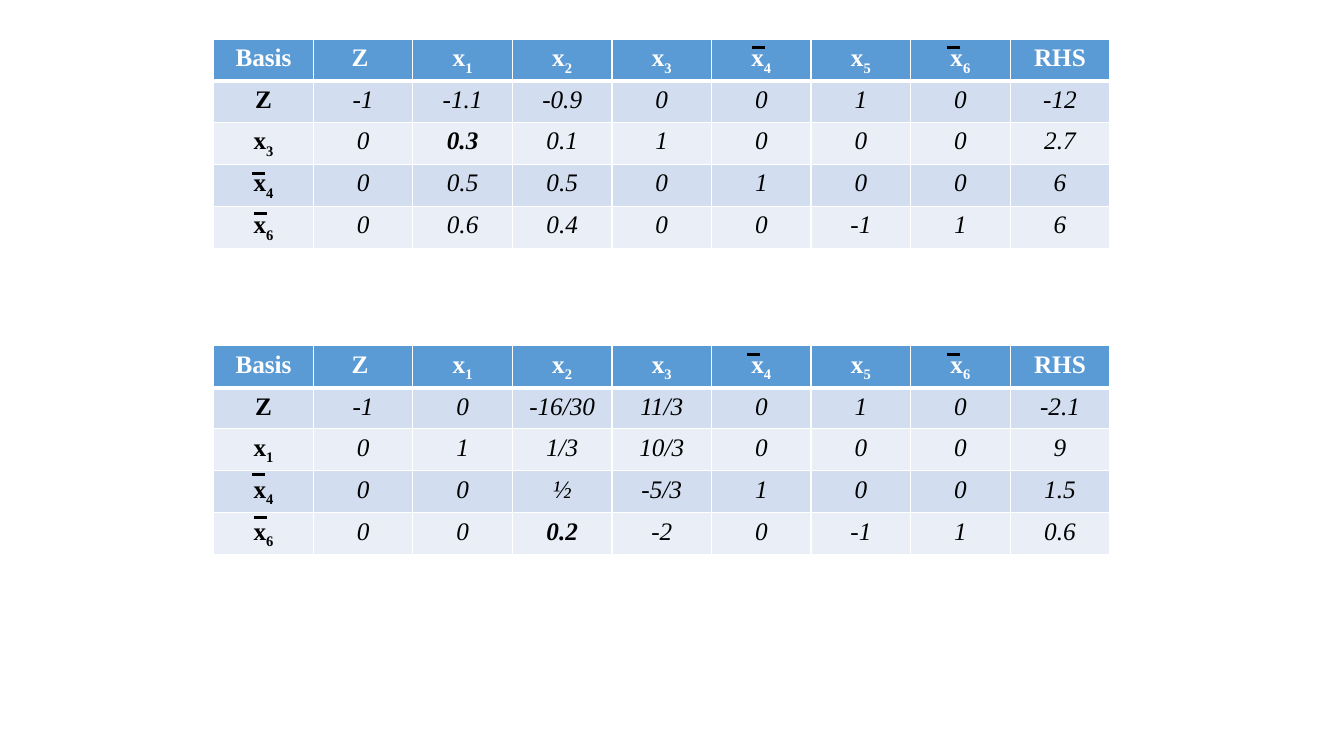
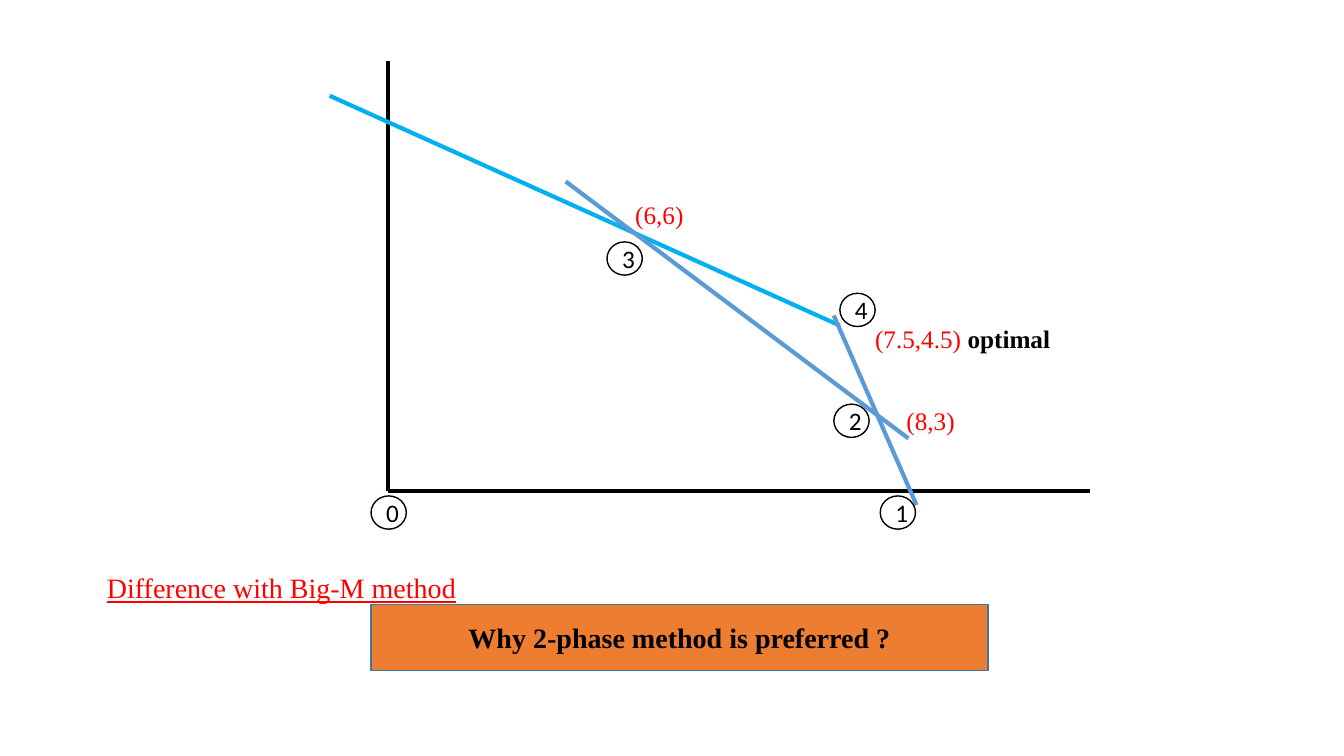
from dataclasses import dataclass
from typing import NamedTuple

from lxml.etree import SubElement
from pptx import Presentation
from pptx.dml.color import RGBColor
from pptx.enum.shapes import MSO_CONNECTOR as Connector, MSO_SHAPE as Preset
from pptx.enum.text import MSO_ANCHOR as Anchor, PP_ALIGN as Align
from pptx.oxml import parse_xml
from pptx.oxml.ns import nsdecls, qn
from pptx.util import Inches, Pt

COLORS = {
    "black": "000000", "white": "FFFFFF", "red": "FF0000",
    "blue": "5B9BD5", "sky": "00B0F0", "band": "D2DEEF", "pale": "EAEFF7",
    "orange": "ED7D31", "edge": "43739E",
}
SERIF, SANS = "Times New Roman", "Calibri"
HEADER = ("Basis", "Z ", "x1", "x2", "x3", "x4", "x5", "x6", "RHS")
BAR_WIDTH = 0.13


@dataclass(frozen=True)
class Tableau:
    top: float
    rows: tuple[str, ...]            # basis name, then the coefficients
    pivot: tuple[int, int]           # row and column of the bold entry
    bars: tuple[tuple[float, float], ...]  # left end of each overbar


class Segment(NamedTuple):
    x1: float
    y1: float
    x2: float
    y2: float
    color: str


class Vertex(NamedTuple):
    number: str
    left: float
    top: float


class Span(NamedTuple):
    text: str
    color: str = "red"
    bold: bool = False
    underline: bool = False


class Label(NamedTuple):
    left: float
    middle: float
    width: float
    spans: tuple[Span, ...]
    size: int = 18


TABLEAUS = (
    Tableau(0.39, ("Z -1 -1.1 -0.9 0 0 1 0 -12",
                   "x3 0 0.3 0.1 1 0 0 0 2.7",
                   "x4 0 0.5 0.5 0 1 0 0 6",
                   "x6 0 0.6 0.4 0 0 -1 1 6"), (2, 2),
            ((7.46, 0.47), (9.39, 0.47), (2.5, 1.72), (2.52, 2.12))),
    Tableau(3.43, ("Z -1 0 -16/30 11/3 0 1 0 -2.1",
                   "x1 0 1 1/3 10/3 0 0 0 9",
                   "x4 0 0 ½ -5/3 1 0 0 1.5",
                   "x6 0 0 0.2 -2 0 -1 1 0.6"), (4, 3),
            ((7.41, 3.52), (9.39, 3.52), (2.5, 4.71), (2.52, 5.13))),
)
SEGMENTS = (
    Segment(3.85, 0.61, 3.85, 4.87, "black"),
    Segment(3.85, 4.87, 10.81, 4.87, "black"),
    Segment(3.27, 0.95, 8.33, 3.23, "sky"),
    Segment(8.27, 3.13, 9.09, 5.01, "blue"),
    Segment(5.61, 1.8, 9.01, 4.35, "blue"),
)
VERTICES = (
    Vertex("0", 3.68, 4.92), Vertex("1", 8.73, 4.92), Vertex("2", 8.27, 4.01),
    Vertex("3", 6.02, 2.4), Vertex("4", 8.33, 2.91),
)
LABELS = (
    Label(6.3, 2.13, 0.8, (Span("(6,6)"),)),
    Label(8.68, 3.36, 2.2, (Span("(7.5,4.5) "), Span("optimal", "black", True))),
    Label(8.99, 4.17, 0.8, (Span("(8,3)"),)),
    Label(1.06, 5.83, 4, (Span("Difference with Big-M method", underline=True),), 20),
)


def rgb(color: str) -> RGBColor:
    return RGBColor.from_string(COLORS[color])


def add_run(paragraph, text: str, size: int, color: str, bold: bool = False,
            italic: bool = False, face: str = SERIF):
    run = paragraph.add_run()
    run.text = text
    font = run.font
    font.name, font.size, font.bold, font.italic = face, Pt(size), bold, italic
    font.color.rgb = rgb(color)
    return run


def add_line(slide, segment: Segment, weight: float) -> None:
    ends = (Inches(v) for v in segment[:4])
    line = slide.shapes.add_connector(Connector.STRAIGHT, *ends)
    line.line.color.rgb = rgb(segment.color)
    line.line.width = Pt(weight)
    SubElement(line._element.spPr, qn("a:effectLst"))


def set_borders(cell, top: int, bottom: int) -> None:
    weights = {"lnL": 1, "lnR": 1, "lnT": top, "lnB": bottom}
    for place, (side, weight) in enumerate(weights.items()):
        border = parse_xml(
            f'<a:{side} {nsdecls("a")} w="{Pt(weight)}"><a:solidFill>'
            f'<a:srgbClr val="{COLORS["white"]}"/></a:solidFill></a:{side}>')
        cell._tc.get_or_add_tcPr().insert(place, border)


def add_tableau(slide, tableau: Tableau) -> None:
    grid = (HEADER, *(row.split() for row in tableau.rows))
    table = slide.shapes.add_table(
        len(grid), len(HEADER), Inches(2.12), Inches(tableau.top),
        Inches(8.89), Inches(2.03)).table
    for r, row in enumerate(grid):
        fill = "blue" if r == 0 else ("pale", "band")[r % 2]
        for c, entry in enumerate(row):
            cell = table.cell(r, c)
            cell.fill.solid()
            cell.fill.fore_color.rgb = rgb(fill)
            set_borders(cell, 3 if r == 1 else 1, 3 if r == 0 else 1)
            paragraph = cell.text_frame.paragraphs[0]
            paragraph.alignment = Align.CENTER
            heading = r == 0 or c == 0
            style = (18, "white" if r == 0 else "black",
                     heading or (r, c) == tableau.pivot, not heading)
            if entry.startswith("x"):
                add_run(paragraph, "x", *style)
                index = add_run(paragraph, entry[1:], *style)
                index._r.get_or_add_rPr().set("baseline", "-25000")
            else:
                add_run(paragraph, entry, *style)
    # Overbars of the artificial variables
    for x, y in tableau.bars:
        add_line(slide, Segment(x, y, x + BAR_WIDTH, y, "black"), 2.25)


def add_panel(slide, preset, box: tuple[float, ...], fill: str, edge: str):
    """Draw an outlined shape and return its centred paragraph."""
    panel = slide.shapes.add_shape(preset, *(Inches(v) for v in box))
    panel.shadow.inherit = False
    panel.fill.solid()
    panel.fill.fore_color.rgb = rgb(fill)
    panel.line.color.rgb = rgb(edge)
    panel.line.width = Pt(1)
    panel.text_frame.vertical_anchor = Anchor.MIDDLE
    paragraph = panel.text_frame.paragraphs[0]
    paragraph.alignment = Align.CENTER
    return paragraph


def add_label(slide, label: Label) -> None:
    height = 0.4
    frame = slide.shapes.add_textbox(
        Inches(label.left), Inches(label.middle - height / 2),
        Inches(label.width), Inches(height)).text_frame
    frame.word_wrap = True
    frame.vertical_anchor = Anchor.MIDDLE
    frame.margin_left = frame.margin_right = 0
    frame.margin_top = frame.margin_bottom = 0
    for span in label.spans:
        run = add_run(frame.paragraphs[0], span.text, label.size, span.color, span.bold)
        run.font.underline = span.underline


def main() -> None:
    deck = Presentation()
    deck.slide_width, deck.slide_height = Inches(13.33), Inches(7.5)
    blank = deck.slide_layouts[6]

    # Simplex tableaus
    tableau_slide = deck.slides.add_slide(blank)
    for tableau in TABLEAUS:
        add_tableau(tableau_slide, tableau)

    # Path of the vertices on the graph
    graph_slide = deck.slides.add_slide(blank)
    for label in LABELS:
        add_label(graph_slide, label)
    for segment in SEGMENTS:
        add_line(graph_slide, segment, 3)
    for vertex in VERTICES:
        number = add_panel(graph_slide, Preset.OVAL,
                           (vertex.left, vertex.top, 0.35, 0.33), "white", "black")
        add_run(number, vertex.number, 18, "black", face=SANS)

    # Closing question
    question = add_panel(graph_slide, Preset.RECTANGLE, (3.68, 6, 6.12, 0.65),
                         "orange", "edge")
    add_run(question, "Why 2-phase method is preferred ?", 20, "black", bold=True)

    deck.save("out.pptx")


if __name__ == "__main__":
    main()
